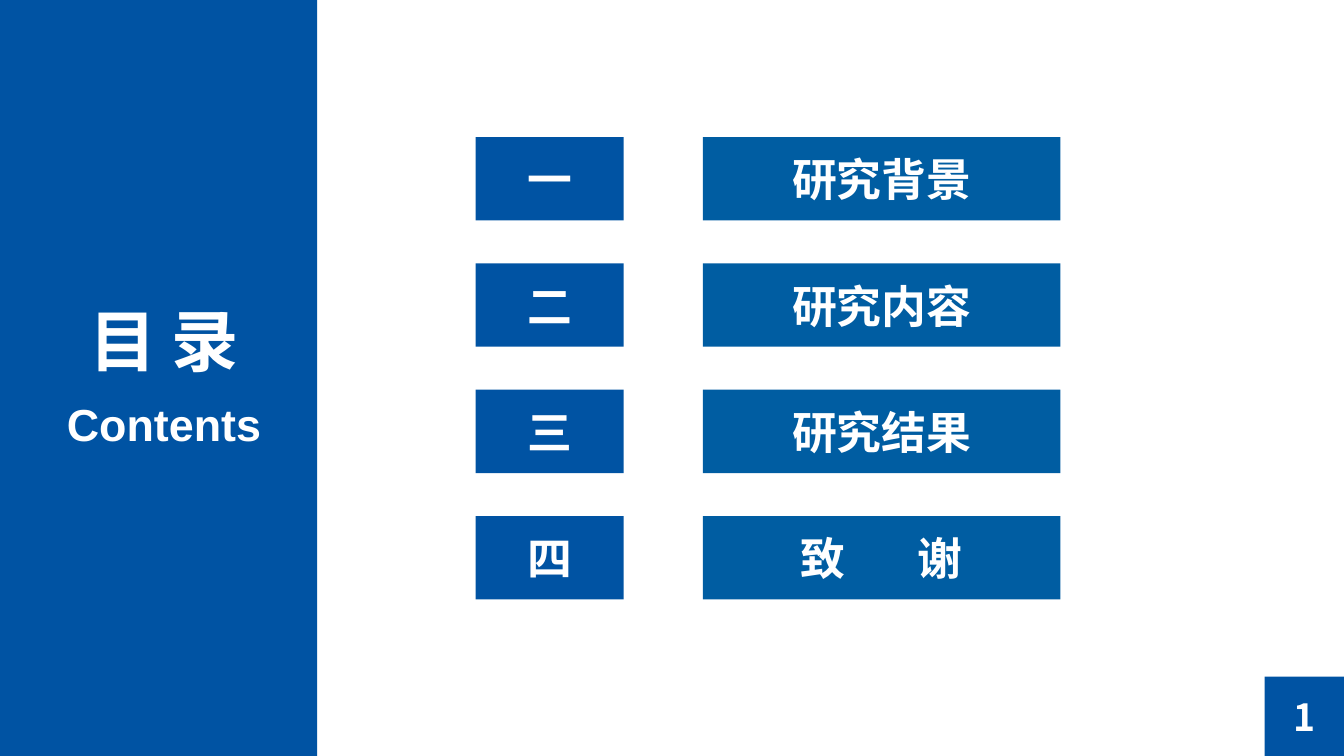
from lxml.etree import SubElement
from pptx import Presentation
from pptx.dml.color import RGBColor
from pptx.enum.shapes import MSO_SHAPE
from pptx.enum.text import MSO_ANCHOR, PP_ALIGN
from pptx.oxml.ns import qn
from pptx.util import Inches, Pt

SECTIONS = [
    ("一", ["研究背景"]),
    ("二", ["研究内容"]),
    ("三", ["研究结果"]),
    ("四", ["致 ", "谢"]),
]
TITLE, SUBTITLE = "目 录", "Contents"
PAGE_NUMBER = "1"

THEME = {
    "blue": RGBColor(0x00, 0x53, 0xA3),
    "topic_blue": RGBColor(0x00, 0x5D, 0xA2),
    "white": RGBColor(0xFF, 0xFF, 0xFF),
    "latin": "Arial",
    "chinese": "Noto Sans CJK SC",
    "title": 36,
    "entry": 24,
    "number": 20,
}

PAGE_WIDTH = 10
PAGE_HEIGHT = PAGE_WIDTH * 9 / 16
SIDEBAR_WIDTH = 2.36
ROW_TOP, ROW_PITCH, ROW_HEIGHT = 1.02, 0.94, 0.62
NUMERAL_LEFT, NUMERAL_WIDTH = 3.54, 1.1
TOPIC_LEFT, TOPIC_WIDTH = 5.23, 2.66
CORNER = 0.59
SPREAD = 16.5  # points of tracking that set a two-character topic apart


def write(shape, spans, size, font, anchor=MSO_ANCHOR.MIDDLE):
    """Fill a shape with one centred line; every span but the last is tracked out."""
    frame = shape.text_frame
    frame.word_wrap = True
    frame.vertical_anchor = anchor
    para = frame.paragraphs[0]
    para.alignment = PP_ALIGN.CENTER
    text_format = {"name": font, "size": Pt(size), "bold": True}
    for index, text in enumerate(spans):
        span = para.add_run()
        span.text = text
        for name, value in text_format.items():
            setattr(span.font, name, value)
        span.font.color.rgb = THEME["white"]
        properties = span._r.get_or_add_rPr()
        SubElement(properties, qn("a:ea")).set("typeface", THEME["chinese"])
        if index < len(spans) - 1:
            properties.set("spc", str(int(SPREAD * 100)))


def add_block(page, left, top, width, height, color):
    block = page.shapes.add_shape(
        MSO_SHAPE.RECTANGLE, *map(Inches, (left, top, width, height)))
    block.shadow.inherit = False
    block.fill.solid()
    block.fill.fore_color.rgb = color
    block.line.fill.background()
    return block


def add_heading(page, text, top, height, size):
    box = page.shapes.add_textbox(*map(Inches, (0.16, top, 2.12, height)))
    write(box, [text], size, THEME["latin"], MSO_ANCHOR.TOP)


def main():
    deck = Presentation()
    deck.slide_width, deck.slide_height = Inches(PAGE_WIDTH), Inches(PAGE_HEIGHT)
    page = deck.slides.add_slide(deck.slide_layouts[6])

    add_block(page, 0, 0, SIDEBAR_WIDTH, PAGE_HEIGHT, THEME["blue"])
    add_heading(page, TITLE, 2.18, 0.71, THEME["title"])
    add_heading(page, SUBTITLE, 2.9, 0.5, THEME["entry"])

    for row, (numeral, topic) in enumerate(SECTIONS):
        top = ROW_TOP + row * ROW_PITCH
        for left, width, color, spans in (
            (NUMERAL_LEFT, NUMERAL_WIDTH, THEME["blue"], [numeral]),
            (TOPIC_LEFT, TOPIC_WIDTH, THEME["topic_blue"], topic),
        ):
            block = add_block(page, left, top, width, ROW_HEIGHT, color)
            write(block, spans, THEME["entry"], THEME["chinese"])

    corner = add_block(page, PAGE_WIDTH - CORNER, PAGE_HEIGHT - CORNER,
                       CORNER, CORNER, THEME["blue"])
    write(corner, [PAGE_NUMBER], THEME["number"], THEME["chinese"])

    deck.save("out.pptx")


if __name__ == "__main__":
    main()
